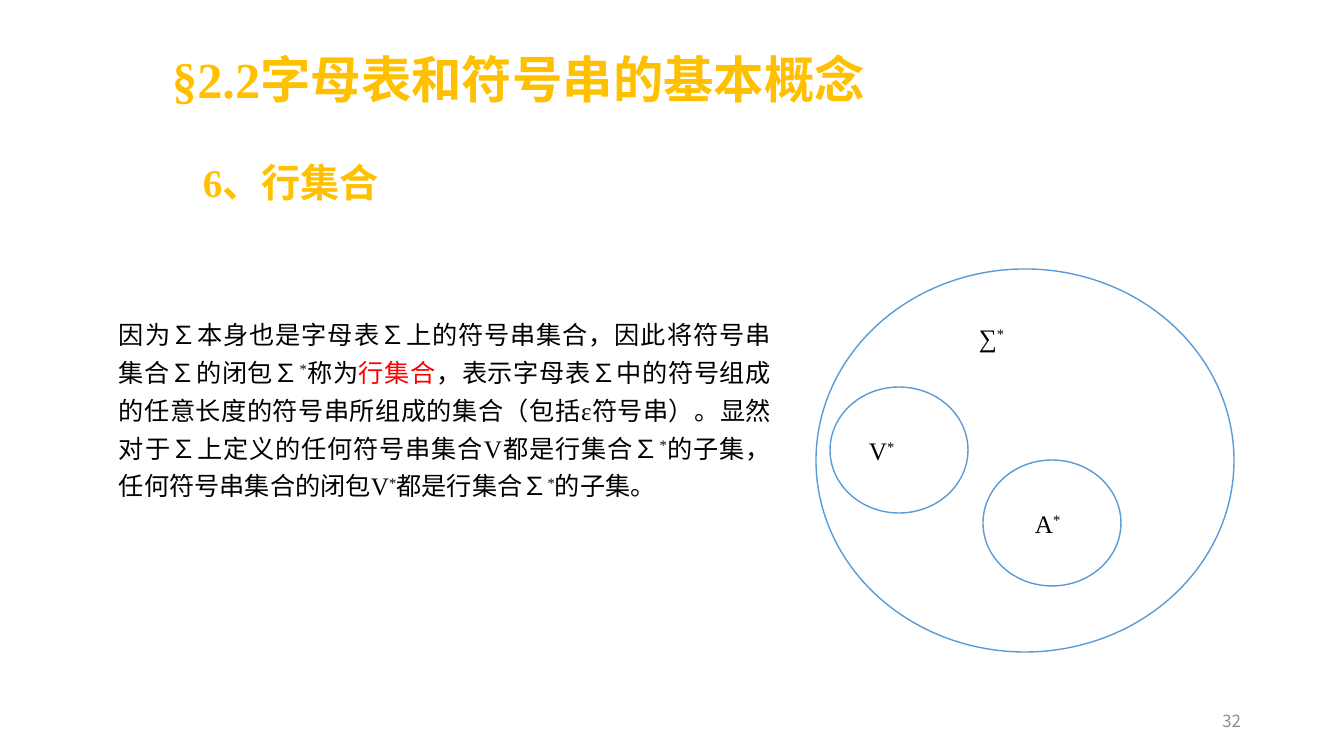
from pptx import Presentation
from pptx.dml.color import RGBColor
from pptx.enum import shapes, text
from pptx.oxml import ns
from pptx.util import Emu, Pt

SLIDE_SIZE = (1344, 756)
EMU_PER_PX = 12192000 / 1344
LATIN, CHINESE = "Times New Roman", "Noto Sans CJK SC"
BLACK, RED, GOLD, GREY, BLUE = "000000", "FF0000", "FFC000", "8C8C8C", "5B9BD5"
CIRCLE_SIZE = (138, 126)
LABEL_SIZE = (47, 40)

DEFINITION = [
    ("因为∑本身也是字母表∑上的符号串集合，因此将符号串集合∑的闭包∑", BLACK),
    ("*", BLACK),
    ("称为", BLACK),
    ("行集合", RED),
    ("，表示字母表∑中的符号组成的任意长度的符号串所组成的集合（包括ε符号串）。"
     "显然对于∑上定义的任何符号串集合V都是行集合∑", BLACK),
    ("*", BLACK),
    ("的子集，任何符号串集合的闭包V", BLACK),
    ("*", BLACK),
    ("都是行集合∑", BLACK),
    ("*", BLACK),
    ("的子集。", BLACK),
]


def px(value):
    return Emu(round(value * EMU_PER_PX))


def rgb(color):
    return RGBColor.from_string(color)


def apply(target, values):
    for name, value in values.items():
        setattr(target, name, value)


def place(shape, left, top, width, height):
    apply(shape, {"left": px(left), "top": px(top), "width": px(width), "height": px(height)})


def write_runs(paragraph, pieces, size, bold=False, latin=LATIN):
    for words, color in pieces:
        run = paragraph.add_run()
        run.text = words
        apply(run.font, {"size": Pt(size), "bold": bold, "name": latin})
        run.font.color.rgb = rgb(color)
        properties = run.font._element
        properties.set("lang", "zh-CN")
        if words == "*":
            properties.set("baseline", "30000")
        east_asian = properties.makeelement(ns.qn("a:ea"), {"typeface": CHINESE})
        properties.find(ns.qn("a:latin")).addnext(east_asian)


def add_text(slide, box, pieces, size, frame=None, layout=None, **style):
    holder = slide.shapes.add_textbox(*map(px, box))
    apply(holder.text_frame, {"word_wrap": True, **(frame or {})})
    paragraph = holder.text_frame.paragraphs[0]
    apply(paragraph, layout or {})
    write_runs(paragraph, pieces, size, **style)


def add_heading(slide, words):
    heading = slide.shapes.title
    place(heading, 158, 31, 975, 167)
    apply(heading.text_frame, {
        "word_wrap": True,
        "vertical_anchor": text.MSO_ANCHOR.TOP,
        "auto_size": text.MSO_AUTO_SIZE.NONE,
    })
    paragraph = heading.text_frame.paragraphs[0]
    apply(paragraph, {"alignment": text.PP_ALIGN.LEFT, "line_spacing": 1.2})
    indents = {"marL": px(46), "indent": px(-42)}
    for name, value in indents.items():
        paragraph._p.get_or_add_pPr().set(name, str(value))
    write_runs(paragraph, [(words, GOLD)], 36, bold=True)


def add_set(slide, outline, letter, label_at):
    circle = slide.shapes.add_shape(shapes.MSO_SHAPE.OVAL, *map(px, outline))
    circle.shadow.inherit = False
    circle.fill.background()
    circle.line.color.rgb = rgb(BLUE)
    circle.line.width = Pt(1)
    add_text(slide, label_at + LABEL_SIZE, [(letter, BLACK), ("*", BLACK)], 18,
             frame={"word_wrap": False})


def main():
    deck = Presentation()
    deck.slide_width, deck.slide_height = map(px, SLIDE_SIZE)
    slide = deck.slides.add_slide(deck.slide_layouts[5])

    add_heading(slide, "§2.2字母表和符号串的基本概念")
    add_text(slide, (193, 135, 953, 69), [("6、行集合", GOLD)], 28, bold=True,
             layout={"alignment": text.PP_ALIGN.JUSTIFY, "line_spacing": 1.4})
    add_text(slide, (109, 307, 672, 201), DEFINITION, 18,
             layout={"alignment": text.PP_ALIGN.JUSTIFY, "line_spacing": 1.25})

    add_set(slide, (816, 269, 418, 383), "∑", (969, 317))
    add_set(slide, (830, 387) + CIRCLE_SIZE, "V", (859, 430))
    add_set(slide, (983, 460) + CIRCLE_SIZE, "A", (1025, 503))

    add_text(slide, (949, 701, 302, 40), [("32", GREY)], 12, latin=CHINESE,
             frame={"vertical_anchor": text.MSO_ANCHOR.MIDDLE},
             layout={"alignment": text.PP_ALIGN.RIGHT})
    deck.save("out.pptx")


if __name__ == "__main__":
    main()
